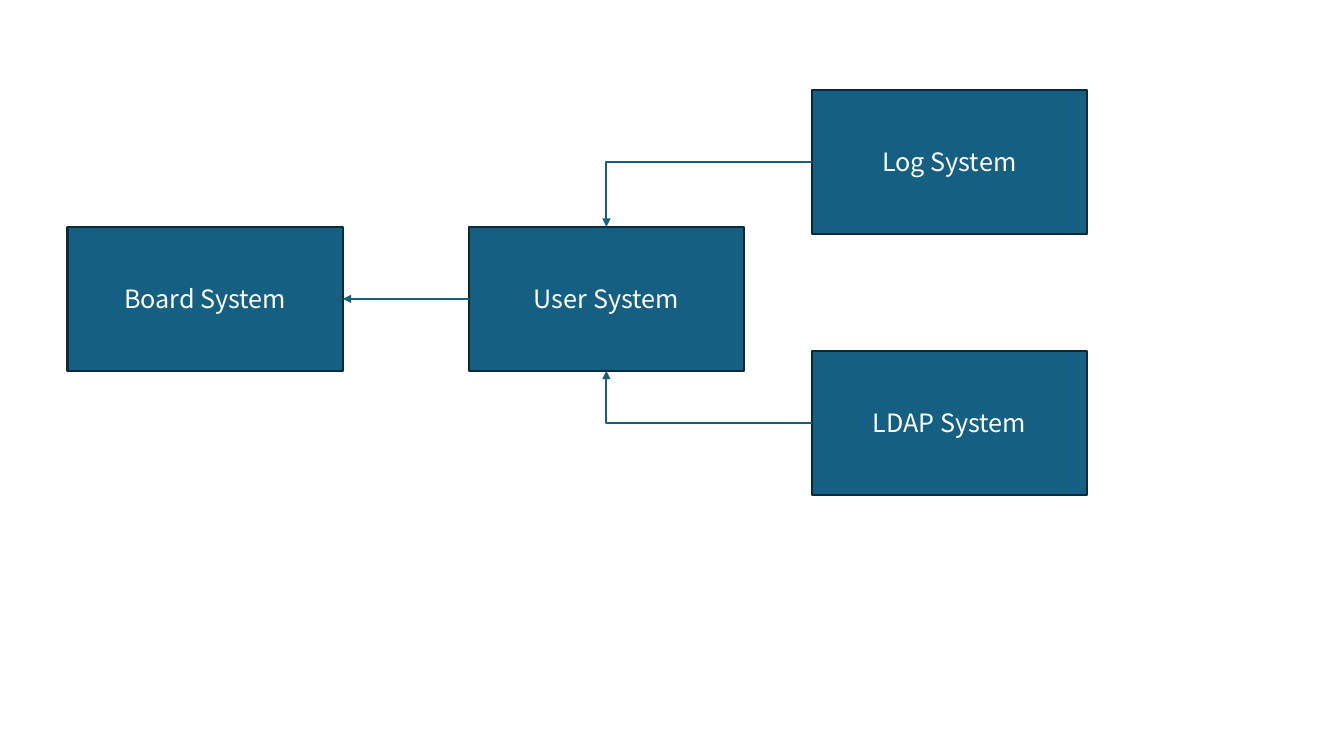
import lxml.etree
import pptx
import pptx.dml.color
import pptx.enum.shapes
import pptx.enum.text
import pptx.oxml.ns
import pptx.util

Inches = pptx.util.Inches
RGBColor = pptx.dml.color.RGBColor
qn = pptx.oxml.ns.qn
CONNECTOR = pptx.enum.shapes.MSO_CONNECTOR

BLUE = RGBColor(0x15, 0x60, 0x82)
DARK_BLUE = RGBColor(0x09, 0x2A, 0x39)
WHITE = RGBColor(0xFF, 0xFF, 0xFF)
FONT_NAME = "Noto Sans CJK KR"
LINE_WIDTH = pptx.util.Pt(1.5)

BOX_WIDTH, BOX_HEIGHT = 2.73, 1.43
# Connection sites of a rectangle
TOP, LEFT, BOTTOM, RIGHT = range(4)


def write_text(text_frame, text, *, size=18, color=WHITE,
               align=pptx.enum.text.PP_ALIGN.CENTER):
    text_frame.word_wrap = True
    text_frame.vertical_anchor = pptx.enum.text.MSO_ANCHOR.MIDDLE
    paragraph = text_frame.paragraphs[0]
    paragraph.alignment = align
    run = paragraph.add_run()
    run.text = text
    run.font.name = FONT_NAME
    run.font.size = pptx.util.Pt(size)
    run.font.color.rgb = color


def add_system(slide, name, left, top):
    shape = slide.shapes.add_shape(
        pptx.enum.shapes.MSO_SHAPE.RECTANGLE,
        Inches(left), Inches(top), Inches(BOX_WIDTH), Inches(BOX_HEIGHT))
    shape.shadow.inherit = False
    shape.fill.solid()
    shape.fill.fore_color.rgb = BLUE
    shape.line.color.rgb = DARK_BLUE
    shape.line.width = LINE_WIDTH
    write_text(shape.text_frame, name)
    return shape


def add_arrow(slide, source, source_site, target, target_site, *, bent=False):
    kind = CONNECTOR.ELBOW if bent else CONNECTOR.STRAIGHT
    connector = slide.shapes.add_connector(kind, 0, 0, 0, 0)
    connector.begin_connect(source, source_site)
    connector.end_connect(target, target_site)
    connector.line.color.rgb = BLUE
    connector.line.width = LINE_WIDTH
    properties = connector._element.spPr
    if bent:
        # One corner: horizontal first, then vertical
        properties.find(qn("a:prstGeom")).set("prst", "bentConnector2")
    lxml.etree.SubElement(properties.find(qn("a:ln")), qn("a:tailEnd"), type="triangle")
    lxml.etree.SubElement(properties, qn("a:effectLst"))


def add_system_diagram(slide, left, top):
    # Systems
    board = add_system(slide, "Board System", left, top + 1.36)
    user = add_system(slide, "User System", left + 3.98, top + 1.36)
    log = add_system(slide, "Log System", left + 7.38, top)
    ldap = add_system(slide, "LDAP System", left + 7.38, top + 2.59)

    # Arrows between them
    add_arrow(slide, log, LEFT, user, TOP, bent=True)
    add_arrow(slide, ldap, LEFT, user, BOTTOM, bent=True)
    add_arrow(slide, user, LEFT, board, RIGHT)


def main():
    presentation = pptx.Presentation()
    presentation.slide_width = Inches(13.33)
    presentation.slide_height = Inches(7.5)
    blank_layout = presentation.slide_layouts[6]
    slide = presentation.slides.add_slide(blank_layout)
    add_system_diagram(slide, 0.67, 0.89)
    presentation.save("out.pptx")


if __name__ == "__main__":
    main()
